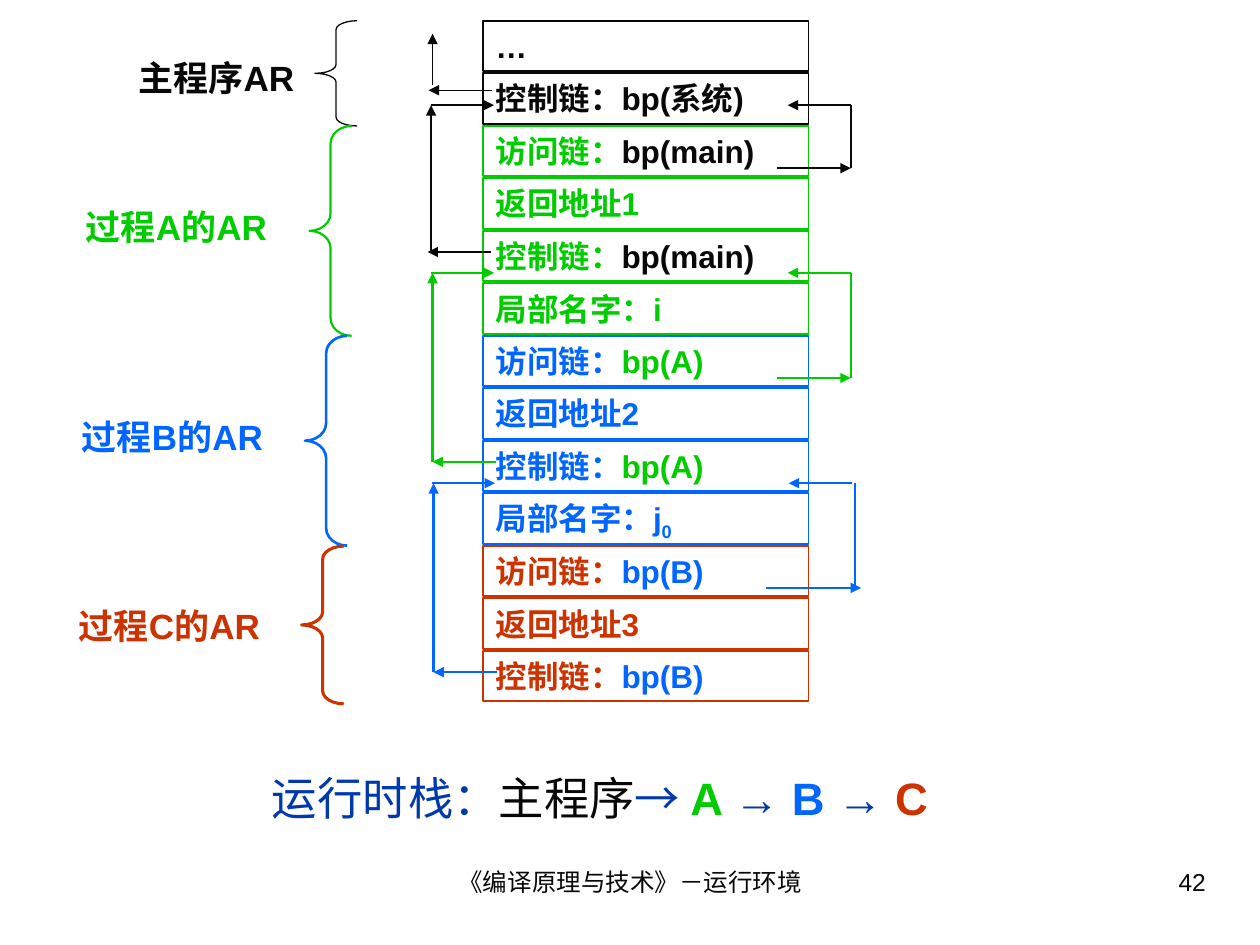
"""Build a slide showing the run-time stack after the calls main, A, B, C."""
from lxml.etree import SubElement
from pptx import Presentation
from pptx.dml.color import RGBColor
from pptx.enum.shapes import MSO_CONNECTOR as CONN, MSO_SHAPE as SHAPE
from pptx.enum.text import MSO_ANCHOR as ANCHOR, MSO_AUTO_SIZE as AUTO, PP_ALIGN as ALIGN
from pptx.oxml.ns import qn
from pptx.util import Cm, Pt

BLACK = RGBColor(0x08, 0x08, 0x08)
GREEN = RGBColor(0x00, 0xCC, 0x00)
BLUE = RGBColor(0x00, 0x66, 0xFF)
RED = RGBColor(0xCC, 0x33, 0x00)
NAVY = RGBColor(0x00, 0x39, 0xAC)

ROW_LEFT, ROW_TOP, ROW_W, ROW_H = 9.74, 0.42, 6.56, 1.02
PITCH = 12.7 / 12
ROWS = [
    (BLACK, [("…", BLACK)]),
    (BLACK, [("控制链：bp(系统)", BLACK)]),
    (GREEN, [("访问链：", GREEN), ("bp(main)", BLACK)]),
    (GREEN, [("返回地址1", GREEN)]),
    (GREEN, [("控制链：", GREEN), ("bp(main)", BLACK)]),
    (GREEN, [("局部名字：i", GREEN)]),
    (BLUE, [("访问链：", BLUE), ("bp(A)", GREEN)]),
    (BLUE, [("返回地址2", BLUE)]),
    (BLUE, [("控制链：", BLUE), ("bp(A)", GREEN)]),
    (BLUE, [("局部名字：j", BLUE), ("0", BLUE, {"subscript": True})]),
    (RED, [("访问链：", RED), ("bp(B)", BLUE)]),
    (RED, [("返回地址3", RED)]),
    (RED, [("控制链：", RED), ("bp(B)", BLUE)]),
]

BRACE_W, LABEL_H = 0.85, 1.11
RECORDS = [
    ("主程序AR", BLACK, (2.54, 1.02, 4.02), (6.35, 0.42, 2.12), 0.75),
    ("过程A的AR", GREEN, (1.48, 4.02, 4.87), (6.24, 2.54, 4.23), 1.25),
    ("过程B的AR", BLUE, (1.4, 8.25, 4.87), (6.15, 6.77, 4.23), 1.5),
    ("过程C的AR", RED, (1.34, 12.07, 4.87), (6.08, 11.01, 3.18), 1.75),
]

STUB = 1.27
CONTROL_LINKS = [
    (BLUE, 8.74, 8.74, 8.71, 13.55, 9.74),
    (GREEN, 8.72, 8.72, 8.69, 9.31, 5.5),
    (BLACK, 8.62, 8.69, 8.69, 5.08, 2.12),
]
SYSTEM_LINK = [(9.91, 1.82, 8.64, 1.82), (8.72, 1.72, 8.72, 0.68)]
ACCESS_LINKS = [
    (BLUE, 15.44, 17.36, 17.23, 17.17, 11.85, 9.74),
    (GREEN, 15.66, 17.15, 17.15, 17.15, 7.62, 5.5),
    (BLACK, 15.66, 17.15, 17.15, 17.15, 3.39, 2.12),
]

BOLD, PLAIN = {"bold": True}, {"bold": False}
TITLE = [
    ("运行时栈：", NAVY, PLAIN), ("主程序", BLACK, PLAIN), ("→ ", NAVY, PLAIN),
    ("A ", GREEN, BOLD), ("→ ", NAVY, PLAIN), ("B ", BLUE, BOLD),
    ("→ ", NAVY, PLAIN), ("C", RED, BOLD), (" ", NAVY, {"bold": False, "size": Pt(40.7)}),
]
FOOTERS = [
    ("《编译原理与技术》－运行环境", (8.68, 17.36, 8.06, 1.31), ALIGN.CENTER),
    ("42", (18.22, 17.36, 6.34, 1.31), ALIGN.RIGHT),
]


def write(sp, runs, size, bold=False, align=ALIGN.LEFT, anchor=ANCHOR.TOP, fit=AUTO.NONE):
    tf = sp.text_frame
    frame = {"word_wrap": True, "auto_size": fit, "vertical_anchor": anchor}
    for name, value in frame.items():
        setattr(tf, name, value)
    p = tf.paragraphs[0]
    p.alignment = align
    for text, colour, *extra in runs:
        r = p.add_run()
        r.text = text
        style = {"name": "Arial", "size": Pt(size), "bold": bold, **(extra[0] if extra else {})}
        if style.pop("subscript", False):
            r.font._element.set("baseline", "-25000")
        for name, value in style.items():
            setattr(r.font, name, value)
        r.font.color.rgb = colour


def add_outline(s, kind, box, colour, width):
    sp = s.shapes.add_shape(kind, *map(Cm, box))
    sp.shadow.inherit = False
    sp.fill.background()
    sp.line.color.rgb = colour
    sp.line.width = Pt(width)
    return sp


def add_line(s, ends, colour, width, arrow=True):
    line = s.shapes.add_connector(CONN.STRAIGHT, *map(Cm, ends))
    line.line.color.rgb = colour
    line.line.width = Pt(width)
    if arrow:
        SubElement(line.line._get_or_add_ln(), qn("a:tailEnd"), type="triangle")
    SubElement(line._element.spPr, qn("a:effectLst"))


def add_text(s, box, runs, size, **style):
    write(s.shapes.add_textbox(*map(Cm, box)), runs, size, **style)


def main():
    prs = Presentation()
    prs.slide_width, prs.slide_height = Cm(25.4), Cm(19.05)
    s = prs.slides.add_slide(prs.slide_layouts[5])

    title = s.shapes.title
    title.left, title.top, title.width, title.height = map(Cm, (0.43, 14.82, 23.73, 2.11))
    write(title, TITLE, 25.9, align=ALIGN.CENTER, anchor=ANCHOR.MIDDLE)
    for text, box, align in FOOTERS:
        add_text(s, box, [(text, BLACK)], 14, align=align)

    for i, (colour, runs) in enumerate(ROWS):
        box = (ROW_LEFT, ROW_TOP + i * PITCH, ROW_W, ROW_H)
        sp = add_outline(s, SHAPE.RECTANGLE, box, colour, 1)
        write(sp, runs, 18, bold=True, fit=AUTO.SHAPE_TO_FIT_TEXT)

    for colour, low_x, x, high_x, low, high in CONTROL_LINKS:
        add_line(s, (low_x + STUB, low, low_x, low), colour, 1.25)
        add_line(s, (x, low, x, high), colour, 1.25)
        add_line(s, (high_x, high, high_x + STUB, high), colour, 1.25)
    for ends in SYSTEM_LINK:
        add_line(s, ends, BLACK, 0.75)
    for colour, start, tip, x, back, low, high in ACCESS_LINKS:
        add_line(s, (start, low, tip, low), colour, 1)
        add_line(s, (x, low, x, high), colour, 1, arrow=False)
        add_line(s, (back, high, back - STUB, high), colour, 1)

    for text, colour, (x, y, w), (left, top, height), width in RECORDS:
        brace = add_outline(s, SHAPE.LEFT_BRACE, (left, top, BRACE_W, height), colour, width)
        brace.adjustments[0] = height / BRACE_W / 12
        add_text(s, (x, y, w, LABEL_H), [(text, colour)], 20, bold=True,
                 fit=AUTO.SHAPE_TO_FIT_TEXT)

    prs.save("out.pptx")


if __name__ == "__main__":
    main()
